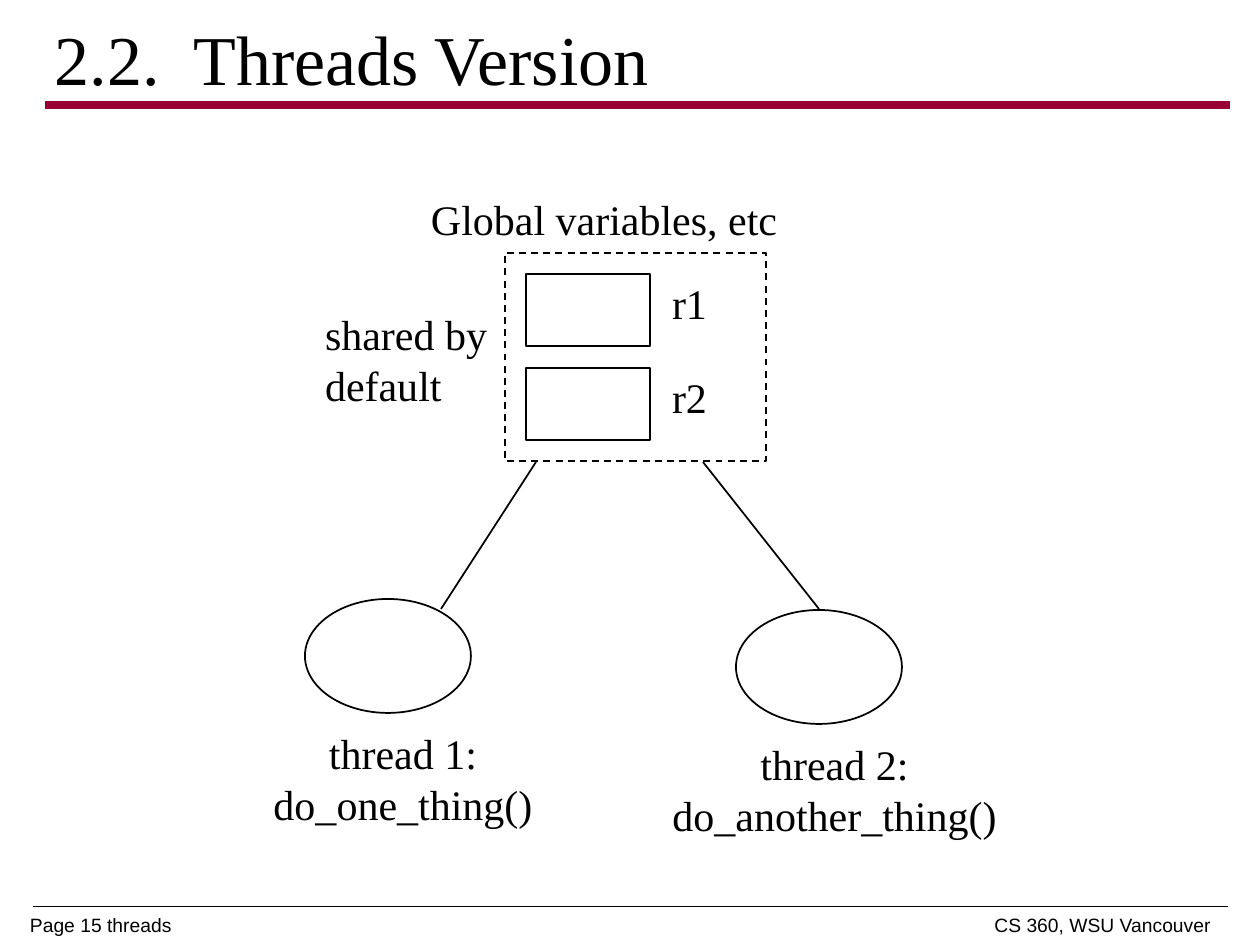
from dataclasses import dataclass

from lxml import etree
from pptx import Presentation
from pptx import util as u
from pptx.dml.color import RGBColor
from pptx.enum import dml, shapes, text
from pptx.oxml import ns


@dataclass(frozen=True)
class Theme:
    ink: RGBColor = RGBColor(0x00, 0x00, 0x00)
    paper: RGBColor = RGBColor(0xFF, 0xFF, 0xFF)
    accent: RGBColor = RGBColor(0x99, 0x00, 0x33)
    serif: str = "Times New Roman"
    sans: str = "Arial"
    title: int = 40
    body: int = 24
    footer: int = 11


T = Theme()
INSET = (13, 6)


def px(n):
    return u.Emu(round(n * 914400 / 126))


def add_text(s, content, x, y, w, h, size=T.body, font=T.serif, align=text.PP_ALIGN.LEFT,
             anchor=text.MSO_ANCHOR.TOP, inset=INSET, spacing=None, right_tab=None):
    """Lines split by \\n become paragraphs; \\v is a line break."""
    tf = s.shapes.add_textbox(px(x), px(y), px(w), px(h)).text_frame
    tf.text = content
    tf.word_wrap = True
    tf.auto_size = text.MSO_AUTO_SIZE.NONE
    tf.vertical_anchor = anchor
    tf.margin_left = tf.margin_right = px(inset[0])
    tf.margin_top = tf.margin_bottom = px(inset[1])
    for p in tf.paragraphs:
        p.alignment = align
        if spacing:
            p.line_spacing = spacing
        if right_tab:
            tabs = etree.SubElement(p._p.get_or_add_pPr(), ns.qn("a:tabLst"))
            etree.SubElement(tabs, ns.qn("a:tab"), pos=str(px(right_tab)), algn="r")
        for r in p.runs:
            r.font.name, r.font.size = font, u.Pt(size)
            r.font.color.rgb = T.ink


def add_outline(s, kind, x, y, w, h, dash=None):
    sp = s.shapes.add_shape(kind, px(x), px(y), px(w), px(h))
    sp.shadow.inherit = False
    sp.fill.solid()
    sp.fill.fore_color.rgb = T.paper
    sp.line.color.rgb = T.ink
    sp.line.width = u.Pt(1)
    if dash:
        sp.line.dash_style = dash


def add_line(s, x1, y1, x2, y2, color=T.ink, width=1):
    c = s.shapes.add_connector(shapes.MSO_CONNECTOR.STRAIGHT, px(x1), px(y1), px(x2), px(y2))
    c.line.color.rgb = color
    c.line.width = u.Pt(width)
    etree.SubElement(c._element.spPr, ns.qn("a:effectLst"))


def add_frame(s):
    """Title, rules and footer."""
    add_text(s, "Page 15 threads\tCS 360, WSU Vancouver", 30, 915, 1183, 30, size=T.footer,
             font=T.sans, inset=(0, 0), spacing=0.96, right_tab=1181)
    add_line(s, 33, 906, 1228, 906, width=0.25)
    add_line(s, 45, 105, 1230, 105, color=T.accent, width=4.5)
    add_text(s, "2.2.  Threads Version", 42, 0, 1071, 116, size=T.title,
             anchor=text.MSO_ANCHOR.MIDDLE)


def add_thread(s, label, x, y, label_x, label_w):
    add_outline(s, shapes.MSO_SHAPE.OVAL, x, y, 166, 114)
    add_text(s, label, label_x, y + 123, label_w, 113, align=text.PP_ALIGN.CENTER)


def add_variable(s, name, y):
    add_outline(s, shapes.MSO_SHAPE.RECTANGLE, 526, y, 124, 72)
    add_text(s, name, 659, y - 2, 80, 63)


def add_shared_memory(s):
    add_outline(s, shapes.MSO_SHAPE.RECTANGLE, 505, 253, 261, 208,
                dash=dml.MSO_LINE.DASH)
    add_text(s, "Global variables, etc", 418, 188, 392, 63)
    for i, name in enumerate(("r1", "r2")):
        add_variable(s, name, 274 + 94 * i)
    add_text(s, "shared by\ndefault", 312, 303, 208, 113)


def main():
    prs = Presentation()
    prs.slide_width, prs.slide_height = px(1260), px(945)
    s = prs.slides.add_slide(prs.slide_layouts[6])
    add_frame(s)
    add_thread(s, "thread 1:\vdo_one_thing()", 305, 599, 251, 304)
    add_thread(s, "thread 2:\vdo_another_thing()", 736, 610, 650, 369)
    add_shared_memory(s)
    add_line(s, 441, 609, 536, 462)
    add_line(s, 819, 609, 703, 462)
    prs.save("out.pptx")


if __name__ == "__main__":
    main()
